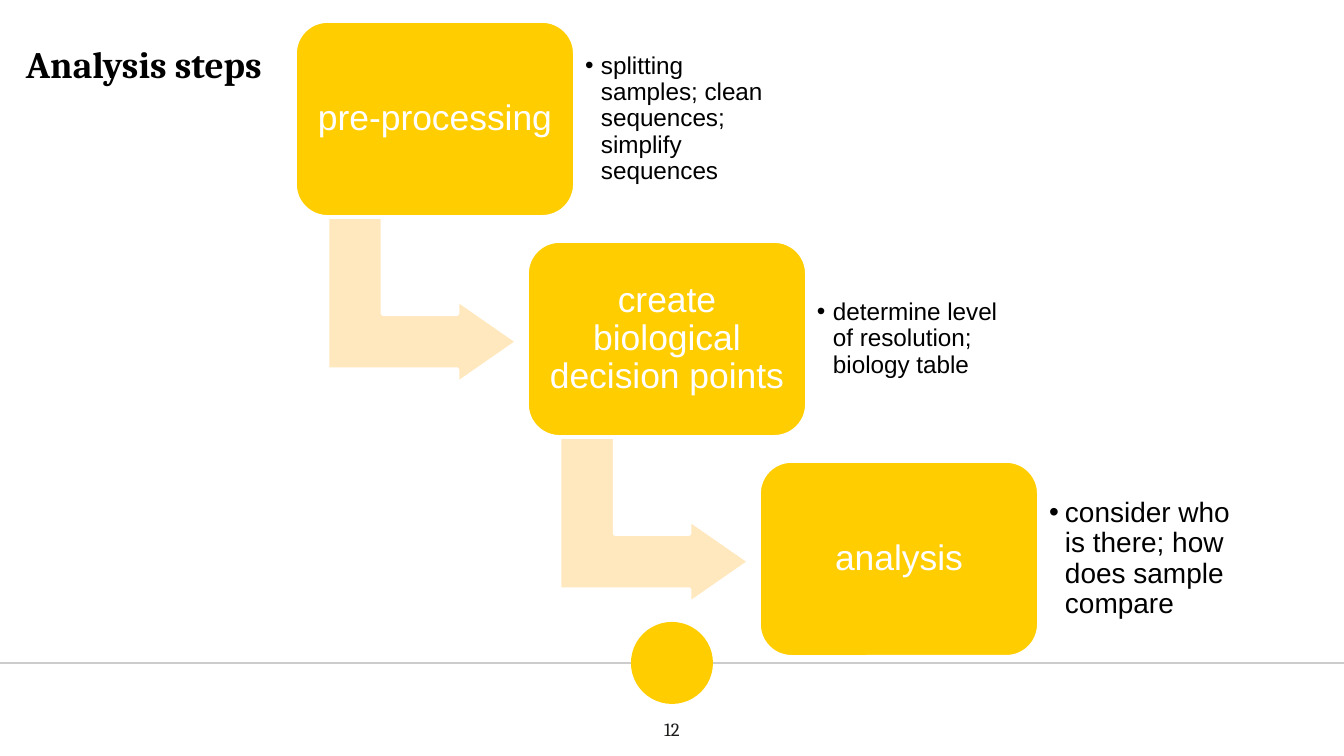
from lxml.etree import SubElement
from pptx import Presentation
from pptx.dml.color import RGBColor
from pptx.enum.shapes import MSO_CONNECTOR, MSO_SHAPE
from pptx.enum.text import MSO_ANCHOR, PP_ALIGN
from pptx.oxml.ns import qn
from pptx.util import Emu, Pt

EMU_PER_PX = 914400 / 134.4
SLIDE_WIDTH, SLIDE_HEIGHT = 1344, 756

YELLOW = RGBColor(0xFF, 0xCD, 0x00)
CREAM = RGBColor(0xFF, 0xE8, 0xBD)
WHITE = RGBColor(0xFF, 0xFF, 0xFF)
BLACK = RGBColor(0x00, 0x00, 0x00)
CHARCOAL = RGBColor(0x1D, 0x1D, 0x1B)
GREY = RGBColor(0xCC, 0xCC, 0xCC)

STEPS = [
    ("pre-processing", "splitting samples; clean sequences; simplify sequences", 13),
    ("create biological decision points", "determine level of resolution; biology table", 13),
    ("analysis", "consider who is there; how does sample compare", 15),
]
CARD_WIDTH, CARD_HEIGHT = 280, 196
STEP_RIGHT, STEP_DOWN = 232, 220


def px(value):
    return Emu(round(value * EMU_PER_PX))


def add_bullet(paragraph, indent):
    properties = paragraph._p.get_or_add_pPr()
    properties.set("marL", str(px(indent)))
    properties.set("indent", str(-px(indent)))
    color = SubElement(properties, qn("a:buClr"))
    SubElement(color, qn("a:srgbClr"), val=str(BLACK))
    SubElement(properties, qn("a:buFont"), typeface="Arial")
    SubElement(properties, qn("a:buChar"), char="•")


def write_text(shape, text, font_name, size, color, inset, align=PP_ALIGN.LEFT,
               bold=False, line_spacing=None, bullet_indent=0):
    frame = shape.text_frame
    frame.word_wrap = True
    frame.vertical_anchor = MSO_ANCHOR.MIDDLE
    frame.margin_left = frame.margin_right = px(inset)
    frame.margin_top = frame.margin_bottom = px(inset)
    paragraph = frame.paragraphs[0]
    paragraph.text = text
    paragraph.alignment = align
    if bullet_indent:
        add_bullet(paragraph, bullet_indent)
    if line_spacing:
        paragraph.line_spacing = line_spacing
    font = paragraph.font
    font.name, font.size, font.bold = font_name, Pt(size), bold
    font.color.rgb = color


def add_text(slide, left, top, width, height, text, *style, **options):
    box = slide.shapes.add_textbox(px(left), px(top), px(width), px(height))
    write_text(box, text, *style, **options)


def add_filled_shape(slide, kind, left, top, width, height, fill, outline=None):
    shape = slide.shapes.add_shape(kind, px(left), px(top), px(width), px(height))
    shape.shadow.inherit = False
    shape.fill.solid()
    shape.fill.fore_color.rgb = fill
    if outline is None:
        shape.line.fill.background()
    else:
        shape.line.color.rgb = outline
        shape.line.width = Pt(2)
    return shape


def add_footer(slide, left, top, width):
    rule = slide.shapes.add_connector(
        MSO_CONNECTOR.STRAIGHT, px(left), px(top), px(left + width), px(top))
    rule.line.color.rgb = GREY
    rule.line.width = Pt(0.75)
    SubElement(rule._element.spPr, qn("a:effectLst"))
    diameter = 82
    circle_left = left + (width - diameter) // 2
    add_filled_shape(slide, MSO_SHAPE.OVAL, circle_left, top - diameter // 2,
                     diameter, diameter, YELLOW)
    add_text(slide, circle_left, top + diameter // 2, diameter, 51, "12",
             "Cambria", 10, CHARCOAL, 13, align=PP_ALIGN.CENTER)


def add_step_arrow(slide, left, top):
    arrow = add_filled_shape(slide, MSO_SHAPE.BENT_UP_ARROW, left + 44, top + 184,
                             167, 190, CREAM, WHITE)
    arrow.rotation = 90
    for index, value in enumerate((0.33, 0.25, 0.36)):
        arrow.adjustments[index] = value


def add_step(slide, left, top, label, detail, detail_size):
    card = add_filled_shape(slide, MSO_SHAPE.ROUNDED_RECTANGLE, left, top,
                            CARD_WIDTH, CARD_HEIGHT, YELLOW, WHITE)
    write_text(card, label, "Arial", 19, WHITE, 10,
               align=PP_ALIGN.CENTER, line_spacing=0.9)
    add_text(slide, left + CARD_WIDTH, top + 19, 204, 158, detail,
             "Arial", detail_size, BLACK, 10, line_spacing=0.9, bullet_indent=16)


def add_staircase(slide, left, top):
    for index, step in enumerate(STEPS):
        step_left = left + index * STEP_RIGHT
        step_top = top + index * STEP_DOWN
        if index < len(STEPS) - 1:
            add_step_arrow(slide, step_left, step_top)
        add_step(slide, step_left, step_top, *step)


def main():
    presentation = Presentation()
    presentation.slide_width = px(SLIDE_WIDTH)
    presentation.slide_height = px(SLIDE_HEIGHT)
    slide = presentation.slides.add_slide(presentation.slide_layouts[6])
    add_footer(slide, 0, 663, SLIDE_WIDTH)
    add_text(slide, 13, 31, 570, 65, "Analysis steps", "Cambria", 20, BLACK, 13, bold=True)
    add_staircase(slide, 295, 21)
    presentation.save("out.pptx")


if __name__ == "__main__":
    main()
